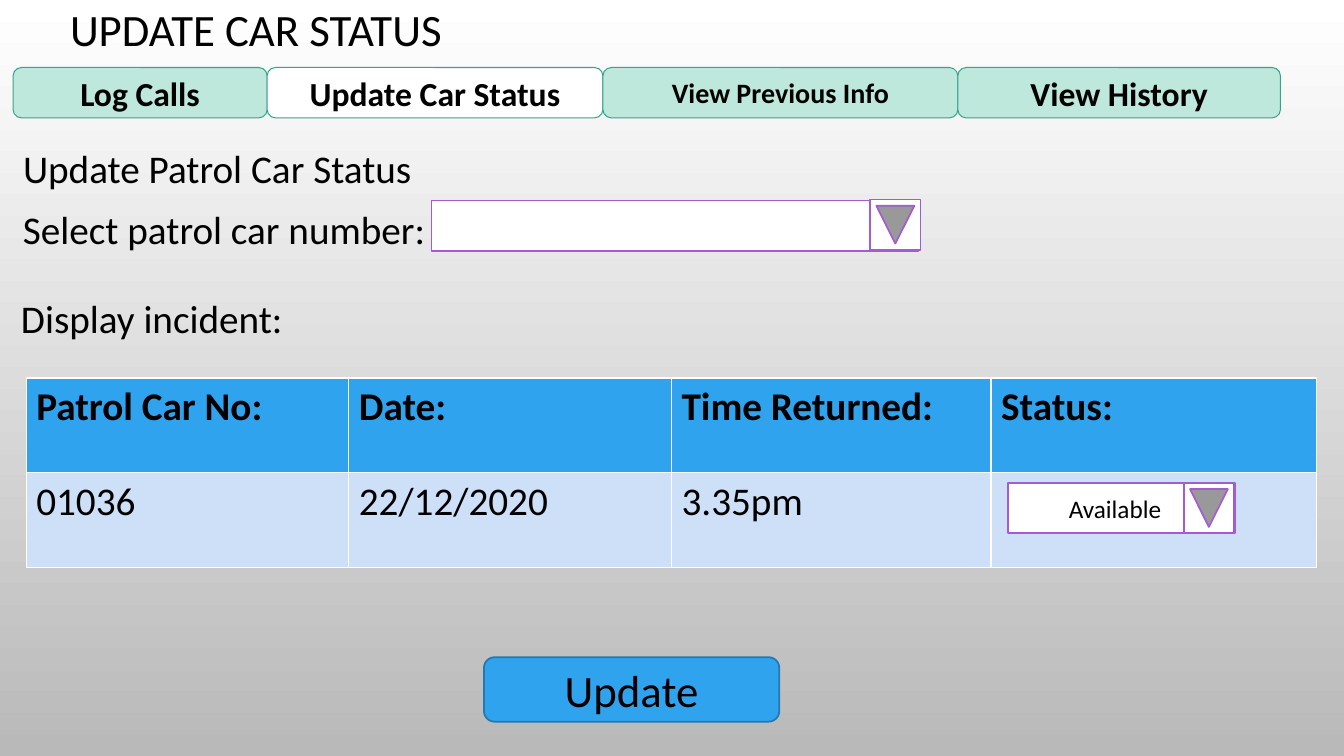
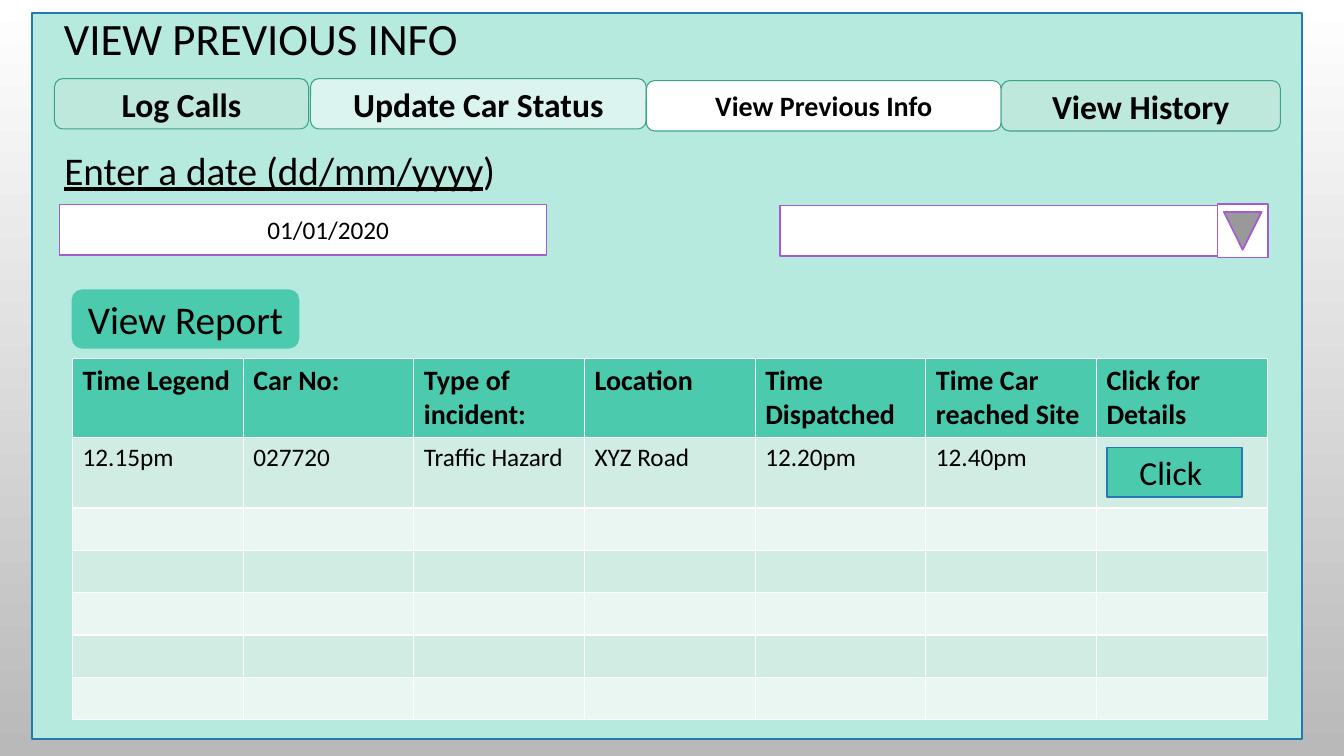
"""Two screens of a patrol car application."""
from pptx import Presentation
from pptx.dml.color import RGBColor
from pptx.enum import shapes, text
from pptx.util import Inches, Pt

FONT = "Calibri"
BLACK = RGBColor(0x00, 0x00, 0x00)
WHITE = RGBColor(0xFF, 0xFF, 0xFF)
GREY = RGBColor(0xB9, 0xB9, 0xB9)
PURPLE = RGBColor(0xA3, 0x5D, 0xD1)
BLUE = RGBColor(0x2F, 0xA3, 0xEE)
DARK_BLUE = RGBColor(0x23, 0x79, 0xB0)
PALE_BLUE = RGBColor(0xCD, 0xE0, 0xF8)
GREEN = RGBColor(0x4B, 0xCA, 0xAD)
DARK_GREEN = RGBColor(0x3C, 0xA2, 0x8B)
PANEL_GREEN = RGBColor(0xB7, 0xEA, 0xDE)
TAB_GREEN = RGBColor(0xBD, 0xE8, 0xDB)
PALE_TAB = RGBColor(0xDB, 0xF4, 0xEF)
BAND_DARK = RGBColor(0xD0, 0xEC, 0xE3)
BAND_LIGHT = RGBColor(0xE9, 0xF6, 0xF1)

RECT = shapes.MSO_SHAPE.RECTANGLE
ROUND = shapes.MSO_SHAPE.ROUNDED_RECTANGLE
ARROW_BUTTON = shapes.MSO_SHAPE.ACTION_BUTTON_FORWARD_OR_NEXT
CENTER = text.PP_ALIGN.CENTER
LEFT = text.PP_ALIGN.LEFT

TABS = [("Log Calls", 24), ("Update Car Status", 24),
        ("View Previous Info", 20), ("View History", 24)]


def inches(*lengths):
    """Turn plain numbers into lengths."""
    return [Inches(n) for n in lengths]


def set_background(prs):
    """Give the master a white to grey gradient from top to bottom."""
    fill = prs.slide_master.background.fill
    fill.gradient()
    fill.gradient_angle = 270
    for stop, color in zip(fill.gradient_stops, (WHITE, GREY)):
        stop.color.rgb = color


def add_run(p, words, size, bold=False, underline=False):
    """Add one black run to a paragraph."""
    r = p.add_run()
    r.text = words
    r.font.name = FONT
    r.font.size = Pt(size)
    r.font.bold = bold
    r.font.underline = underline
    r.font.color.rgb = BLACK


def add_title(s, words, top):
    """Place the title placeholder in front of what is already drawn."""
    sp = s.shapes.title
    sp.element.getparent().append(sp.element)
    sp.left, sp.top, sp.width, sp.height = inches(0.13, top, 4.92, 0.5)
    tf = sp.text_frame
    tf.auto_size = text.MSO_AUTO_SIZE.NONE
    tf.vertical_anchor = text.MSO_ANCHOR.MIDDLE
    p = tf.paragraphs[0]
    p.alignment = CENTER
    p.line_spacing = 0.9
    add_run(p, words, 32)


def add_box(s, kind, at, fill, line, words="", size=18, bold=False,
            width=1.25, align=CENTER):
    """Add a filled, outlined shape with optional text."""
    sp = s.shapes.add_shape(kind, *inches(*at))
    sp.shadow.inherit = False
    sp.fill.solid()
    sp.fill.fore_color.rgb = fill
    sp.line.color.rgb = line
    sp.line.width = Pt(width)
    if words:
        tf = sp.text_frame
        tf.vertical_anchor = text.MSO_ANCHOR.MIDDLE
        p = tf.paragraphs[0]
        p.alignment = align
        add_run(p, words, size, bold)
    return sp


def add_field(s, at, words="", align=CENTER):
    """Add a white entry field, its text set in by half an inch."""
    sp = add_box(s, RECT, at, WHITE, PURPLE, words, align=align)
    sp.text_frame.margin_left = Inches(0.6)


def add_arrow_button(s, left, top, width=0.5):
    """Add the button that opens a drop-down list."""
    sp = add_box(s, ARROW_BUTTON, (left, top, width, 0.5), WHITE, PURPLE)
    sp.rotation = 90


def add_tabs(s, places, fills):
    """Add the navigation tabs; places holds left, top and width."""
    for (words, size), (left, top, width), fill in zip(TABS, places, fills):
        add_box(s, ROUND, (left, top, width, 0.5), fill, DARK_GREEN,
                words, size, bold=True, width=0.75)


def add_label(s, left, top, width, *parts):
    """Add a text box from (words, underlined) parts."""
    tf = s.shapes.add_textbox(*inches(left, top, width, 0.57)).text_frame
    tf.word_wrap = True
    tf.auto_size = text.MSO_AUTO_SIZE.SHAPE_TO_FIT_TEXT
    for words, underline in parts:
        add_run(tf.paragraphs[0], words, 28, underline=underline)


def add_grid(s, left, top, cols, rows, cells, sizes, fills):
    """Add a table: a header fill, then alternating body fills."""
    header, *bands = fills
    frame = s.shapes.add_table(
        len(rows), len(cols), *inches(left, top, sum(cols), sum(rows)))
    table = frame.table
    for column, width in zip(table.columns, cols):
        column.width = Inches(width)
    for i, height in enumerate(rows):
        table.rows[i].height = Inches(height)
        for j in range(len(cols)):
            cell = table.cell(i, j)
            cell.fill.solid()
            cell.fill.fore_color.rgb = (
                bands[(i - 1) % len(bands)] if i else header)
            if i < len(cells) and j < len(cells[i]):
                add_run(cell.text_frame.paragraphs[0], cells[i][j],
                        sizes[i], bold=i == 0)


def build_car_status(s):
    """Build the screen that updates a patrol car."""
    add_title(s, "UPDATE CAR STATUS ", 0.07)
    add_tabs(s, [(0.13, 0.67, 2.52), (2.65, 0.67, 3.33),
                 (5.98, 0.67, 3.52), (9.5, 0.67, 3.2)],
             [TAB_GREEN, WHITE, TAB_GREEN, TAB_GREEN])
    add_label(s, 0.13, 1.38, 5.85, ("Update Patrol Car Status ", False))
    add_label(s, 0.13, 1.99, 6.53, ("Select patrol car number:", False))
    add_grid(s, 0.26, 3.75, [3.2, 3.2, 3.17, 3.23], [0.94] * 2,
             [["Patrol Car No:", "Date:", "Time Returned:", "Status:"],
              ["01036", "22/12/2020", "3.35pm"]],
             [28, 28], [BLUE, PALE_BLUE])
    add_field(s, (10, 4.79, 2.25, 0.5), "Available ", LEFT)
    add_arrow_button(s, 11.74, 4.79)
    add_field(s, (4.28, 1.99, 4.83, 0.5))
    add_arrow_button(s, 8.63, 1.98)
    add_label(s, 0.11, 2.87, 4.32, ("Display incident:", False))
    add_box(s, ROUND, (4.8, 6.52, 2.93, 0.64), BLUE, DARK_BLUE, "Update", 32)


def build_previous_info(s):
    """Build the screen that lists earlier incidents."""
    add_box(s, RECT, (0.32, 0.13, 12.59, 7.2), PANEL_GREEN, DARK_BLUE)
    add_title(s, "VIEW PREVIOUS INFO", 0.16)
    add_tabs(s, [(0.54, 0.78, 2.52), (3.08, 0.78, 3.33),
                 (6.41, 0.8, 3.52), (9.93, 0.8, 2.77)],
             [TAB_GREEN, PALE_TAB, WHITE, TAB_GREEN])
    add_label(s, 0.54, 1.4, 5.85,
              ("Enter a date (dd/mm/yyyy", True), (")", False))
    add_field(s, (0.59, 2.03, 4.83, 0.5), "01/01/2020")
    add_field(s, (7.74, 2.04, 4.83, 0.5))
    add_arrow_button(s, 12.06, 2.04, 0.53)
    add_box(s, ROUND, (0.72, 2.88, 2.24, 0.57), GREEN, GREEN,
            "View Report", 28)
    add_grid(s, 0.72, 3.56, [11.85 / 7] * 7, [0.78, 0.7] + [0.42] * 5,
             [["Time Legend ", "Car No:", "Type of incident: ", "Location",
               "Time Dispatched", "Time Car reached Site",
               "Click for Details"],
              ["12.15pm", "027720", "Traffic Hazard", "XYZ Road",
               "12.20pm", "12.40pm"]],
             [20, 18], [GREEN, BAND_DARK, BAND_LIGHT])
    add_box(s, RECT, (10.98, 4.44, 1.34, 0.49), GREEN, DARK_BLUE,
            "Click ", 24)


def main():
    """Build and save the presentation."""
    prs = Presentation()
    prs.slide_width, prs.slide_height = inches(13.33, 7.5)
    set_background(prs)
    title_only = prs.slide_layouts[5]
    for build in (build_car_status, build_previous_info):
        build(prs.slides.add_slide(title_only))
    prs.save("out.pptx")


main()
